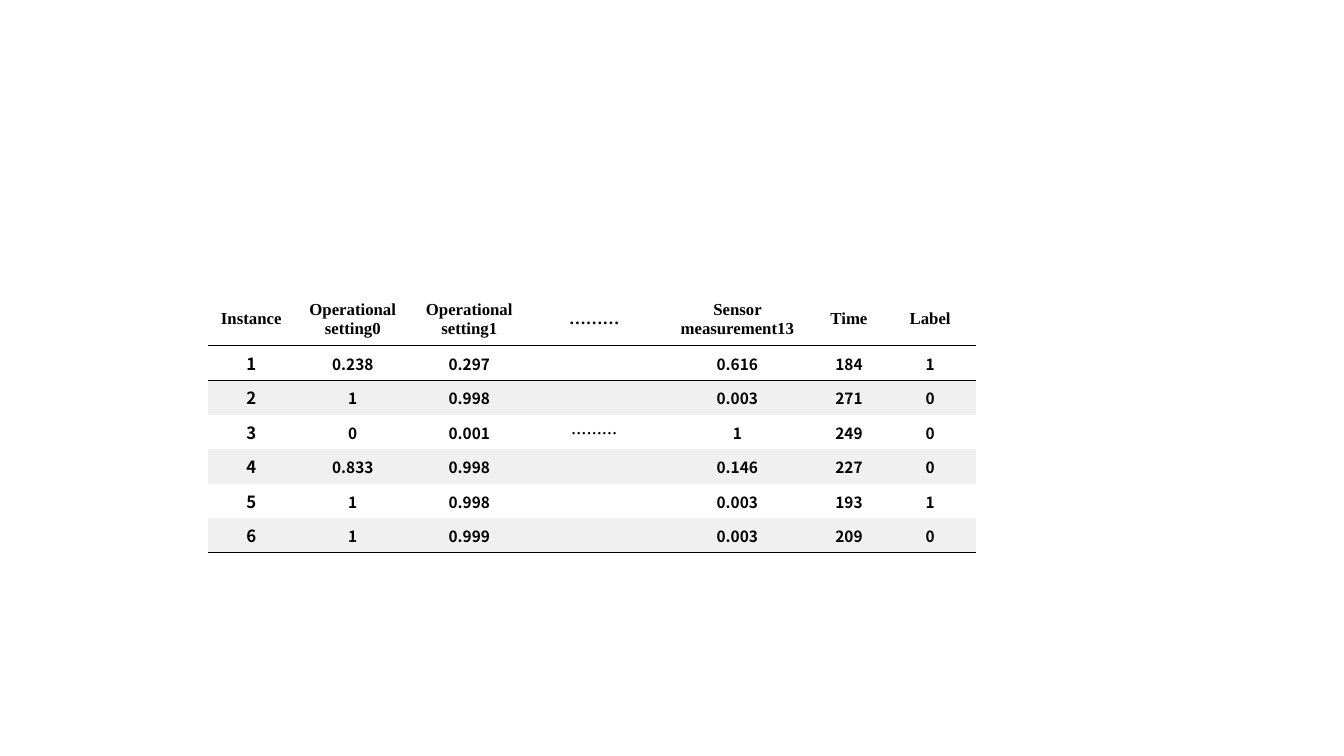
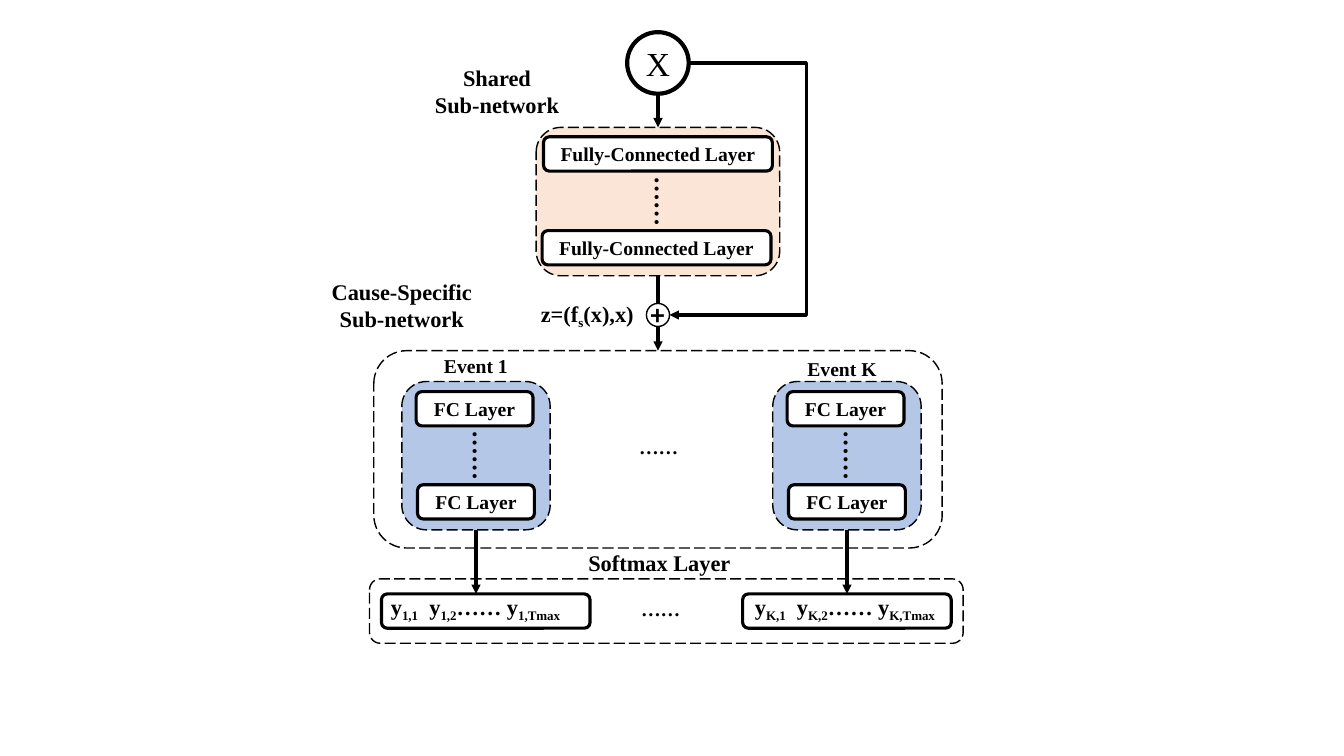
import pptx
import pptx.dml.color
import pptx.enum.dml
import pptx.enum.shapes
import pptx.enum.text
import pptx.oxml.ns
import pptx.util
from lxml import etree

Pt = pptx.util.Pt
qn = pptx.oxml.ns.qn
RGBColor = pptx.dml.color.RGBColor
SHAPE = pptx.enum.shapes.MSO_SHAPE
CONNECTOR = pptx.enum.shapes.MSO_CONNECTOR
ALIGN = pptx.enum.text.PP_ALIGN
MIDDLE = pptx.enum.text.MSO_ANCHOR.MIDDLE

BLACK = RGBColor(0x00, 0x00, 0x00)
WHITE = RGBColor(0xFF, 0xFF, 0xFF)
BAND_GRAY = RGBColor(0xF0, 0xF0, 0xF0)
PEACH = RGBColor(0xFB, 0xE5, 0xD6)
BLUE = RGBColor(0xB4, 0xC7, 0xE7)

SERIF = "Times New Roman"
SANS = "Noto Sans CJK SC"
PLAIN_TABLE_STYLE = "{2D5ABB26-0587-4C30-8999-92F81FD0307C}"

COLUMN_WIDTHS = [62, 83, 83.5, 95, 109.5, 50, 66]
HEADER_HEIGHT, ROW_HEIGHT = 38, 22.5
TABLE_ROWS = [
    ["Instance", "Operational setting0", "Operational setting1", "………",
     "Sensor measurement13", "Time", "Label"],
    ["1", "0.238", "0.297", "", "0.616", "184", "1"],
    ["2", "1", "0.998", "", "0.003", "271", "0"],
    ["3", "0", "0.001", "………", "1", "249", "0"],
    ["4", "0.833", "0.998", "", "0.146", "227", "0"],
    ["5", "1", "0.998", "", "0.003", "193", "1"],
    ["6", "1", "0.999", "", "0.003", "209", "0"],
]

CENTER_X = 470
INPUT_Y, JOIN_Y, EVENT_Y, OUTPUT_Y = 45, 225, 325.5, 436.5
INPUT_SIZE, JOIN_SIZE, EVENT_SIZE = 44, 16.5, 106
LAYER_HEIGHT = 24.5
BYPASS_X = 576


def format_span(span, size, font=SERIF, bold=True):
    span.font.size = Pt(size)
    span.font.name = font
    span.font.bold = bold
    span.font.color.rgb = BLACK
    etree.SubElement(span.font._element, qn("a:ea"), typeface=font)


def write_text(frame, text, size, font=SERIF, bold=True, align=ALIGN.CENTER):
    frame.text = text
    for para in frame.paragraphs:
        para.alignment = align
        for span in para.runs:
            format_span(span, size, font, bold)


def write_formula(frame, parts, size, align):
    """Write parts in a row; a leading underscore marks a subscript."""
    para = frame.paragraphs[0]
    para.alignment = align
    for part in parts:
        span = para.add_run()
        span.text = part.removeprefix("_")
        format_span(span, size)
        if part.startswith("_"):
            span.font._element.set("baseline", "-25000")
        elif part == " ":
            span.font._element.set("spc", "400")


def clear_margins(frame):
    frame.margin_left = frame.margin_right = 0
    frame.margin_top = frame.margin_bottom = 0
    frame.vertical_anchor = MIDDLE


def frame_around(center, size):
    (x, y), (width, height) = center, size
    return Pt(x - width / 2), Pt(y - height / 2), Pt(width), Pt(height)


def add_box(slide, kind, center, size, fill, line_width):
    box = slide.shapes.add_shape(kind, *frame_around(center, size))
    box.shadow.inherit = False
    if fill is None:
        box.fill.background()
    else:
        box.fill.solid()
        box.fill.fore_color.rgb = fill
    box.line.color.rgb = BLACK
    box.line.width = Pt(line_width)
    clear_margins(box.text_frame)
    box.text_frame.word_wrap = False
    return box


def add_panel(slide, center, size, fill=None):
    """Add a dashed group outline; a filled one holds a column of dots."""
    panel = add_box(slide, SHAPE.ROUNDED_RECTANGLE, center, size, fill, 1)
    panel.line.dash_style = pptx.enum.dml.MSO_LINE.LONG_DASH
    if fill is not None:
        write_text(panel.text_frame, "……", 18, SANS)
        panel.text_frame._txBody.bodyPr.set("vert", "vert")
    return panel


def add_layer(slide, center, width, text=""):
    layer = add_box(slide, SHAPE.ROUNDED_RECTANGLE, center,
                    (width, LAYER_HEIGHT), WHITE, 2.25)
    if text:
        write_text(layer.text_frame, text, 14)
    return layer


def add_label(slide, center, size, text="", width=184):
    height = 46 if "\n" in text else 27
    label = slide.shapes.add_textbox(*frame_around(center, (width, height)))
    clear_margins(label.text_frame)
    label.text_frame.word_wrap = True
    if text:
        write_text(label.text_frame, text, size)
    return label


def add_line(slide, start, finish, kind=CONNECTOR.STRAIGHT, arrow=True,
             start_box=None, finish_box=None):
    """Draw a line, joined to a box's bottom or top where a box is given."""
    points = [Pt(value) for value in (*start, *finish)]
    line = slide.shapes.add_connector(kind, *points)
    if start_box is not None:
        line.begin_connect(start_box, 2)
    if finish_box is not None:
        line.end_connect(finish_box, 0)
    line.line.color.rgb = BLACK
    line.line.width = Pt(2.25)
    properties = line._element.spPr
    if arrow:
        etree.SubElement(properties.find(qn("a:ln")), qn("a:tailEnd"),
                         type="triangle")
    etree.SubElement(properties, qn("a:effectLst"))
    return line


def add_bypass(slide):
    """Lead the input around the shared network to the join."""
    start_x = CENTER_X + INPUT_SIZE / 2
    finish_x = CENTER_X + JOIN_SIZE / 2
    line = add_line(slide, (start_x, INPUT_Y), (finish_x, JOIN_Y),
                    CONNECTOR.ELBOW)
    bend = round((start_x - BYPASS_X) / (start_x - finish_x) * 100000)
    geometry = line._element.spPr.find(qn("a:prstGeom"))
    guides = geometry.find(qn("a:avLst"))
    if guides is None:
        guides = etree.SubElement(geometry, qn("a:avLst"))
    etree.SubElement(guides, qn("a:gd"), name="adj1", fmla=f"val {bend}")


def add_event(slide, x, name, name_center):
    panel = add_panel(slide, (x, EVENT_Y), (EVENT_SIZE, EVENT_SIZE), BLUE)
    add_label(slide, name_center, 14, name, 80)
    for center in ((x - 1, 292), (x, 358.5)):
        add_layer(slide, center, 83.5, "FC Layer")
    return panel


def add_output(slide, x, index, margin):
    output = add_layer(slide, (x, OUTPUT_Y), 149)
    output.text_frame.margin_left = Pt(margin)
    output.text_frame.margin_bottom = Pt(4)
    parts = ["y", f"_{index},1", " ", "y", f"_{index},2", "…… y",
             f"_{index},Tmax"]
    write_formula(output.text_frame, parts, 16, ALIGN.LEFT)
    return output


def add_border(cell, side):
    line = etree.Element(qn(f"a:{side}"), w=str(Pt(1)))
    fill = etree.SubElement(line, qn("a:solidFill"))
    etree.SubElement(fill, qn("a:srgbClr"), val=str(BLACK))
    cell._tc.get_or_add_tcPr().insert(0, line)


def fill_cell(cell, text, row, column):
    cell.fill.solid()
    cell.fill.fore_color.rgb = BAND_GRAY if row and row % 2 == 0 else WHITE
    if row and column:
        cell.margin_left = cell.margin_right = cell.margin_top = Pt(0.72)
        cell.margin_bottom = 0
    if row == 0 or column:
        cell.vertical_anchor = MIDDLE
    if text:
        write_text(cell.text_frame, text, 11 if row and column else 12,
                   SANS if row else SERIF)
    else:
        etree.SubElement(cell.text_frame.paragraphs[0]._p,
                         qn("a:endParaRPr"), sz="1100")
    if row in (0, len(TABLE_ROWS) - 1):
        add_border(cell, "lnB")
    elif row == 1:
        add_border(cell, "lnT")


def build_table_slide(slide):
    heights = [HEADER_HEIGHT] + [ROW_HEIGHT] * (len(TABLE_ROWS) - 1)
    frame = slide.shapes.add_table(
        len(heights), len(COLUMN_WIDTHS), Pt(148.5), Pt(209),
        Pt(sum(COLUMN_WIDTHS)), Pt(sum(heights)))
    table = frame.table
    table.first_row = table.horz_banding = False
    table._tbl.tblPr.find(qn("a:tableStyleId")).text = PLAIN_TABLE_STYLE
    for column, width in zip(table.columns, COLUMN_WIDTHS):
        column.width = Pt(width)
    for row, height in zip(table.rows, heights):
        row.height = Pt(height)
    for row, texts in enumerate(TABLE_ROWS):
        for column, text in enumerate(texts):
            fill_cell(table.cell(row, column), text, row, column)


def build_network_slide(slide):
    outer = add_panel(slide, (CENTER_X, 321), (406, 141))
    shared = add_panel(slide, (CENTER_X, 144), (174, 106), PEACH)
    add_panel(slide, (476, OUTPUT_Y), (424, 46))
    for center in ((CENTER_X, 110), (CENTER_X - 1, 177)):
        add_layer(slide, center, 163.5, "Fully-Connected Layer")

    source = add_box(slide, SHAPE.OVAL, (CENTER_X, INPUT_Y),
                     (INPUT_SIZE, INPUT_SIZE), WHITE, 3)
    write_text(source.text_frame, "X", 24, bold=False)
    join = add_box(slide, SHAPE.OVAL, (CENTER_X, JOIN_Y),
                   (JOIN_SIZE, JOIN_SIZE), WHITE, 1)
    write_text(join.text_frame, "+", 18, SANS)

    first_event = add_event(slide, 340, "Event 1", (340, 261.5))
    last_event = add_event(slide, 605, "Event K", (601.5, 263.5))
    add_output(slide, 347, "1", 5.5)
    last_output = add_output(slide, 605, "K", 7.5)

    add_label(slide, (355, 65), 16, "Shared\nSub-network")
    add_label(slide, (287, 218), 16, "Cause-Specific\nSub-network")
    add_label(slide, (471, 401.5), 16, "Softmax Layer")
    add_label(slide, (470.5, 319), 14, "……", 80)
    add_label(slide, (472, 435), 14, "……", 80)
    formula = add_label(slide, (419.5, JOIN_Y), 16)
    write_formula(formula.text_frame, ["z=(f", "_s", "(x),x)"], 16,
                  ALIGN.CENTER)

    join_top, join_bottom = JOIN_Y - JOIN_SIZE / 2, JOIN_Y + JOIN_SIZE / 2
    event_bottom = EVENT_Y + EVENT_SIZE / 2
    output_top = OUTPUT_Y - LAYER_HEIGHT / 2
    add_line(slide, (CENTER_X, INPUT_Y + INPUT_SIZE / 2), (CENTER_X, 91),
             finish_box=shared)
    add_line(slide, (CENTER_X, 197), (CENTER_X, join_top), arrow=False,
             start_box=shared)
    add_line(slide, (CENTER_X, join_bottom), (CENTER_X, 250.5),
             finish_box=outer)
    add_line(slide, (340, event_bottom), (340, output_top),
             start_box=first_event)
    add_line(slide, (605, event_bottom), (605, output_top),
             start_box=last_event, finish_box=last_output)
    add_bypass(slide)


def main():
    deck = pptx.Presentation()
    deck.slide_width, deck.slide_height = Pt(960), Pt(540)
    blank_layout = deck.slide_layouts[6]
    for build_slide in (build_table_slide, build_network_slide):
        build_slide(deck.slides.add_slide(blank_layout))
    deck.save("out.pptx")


if __name__ == "__main__":
    main()
